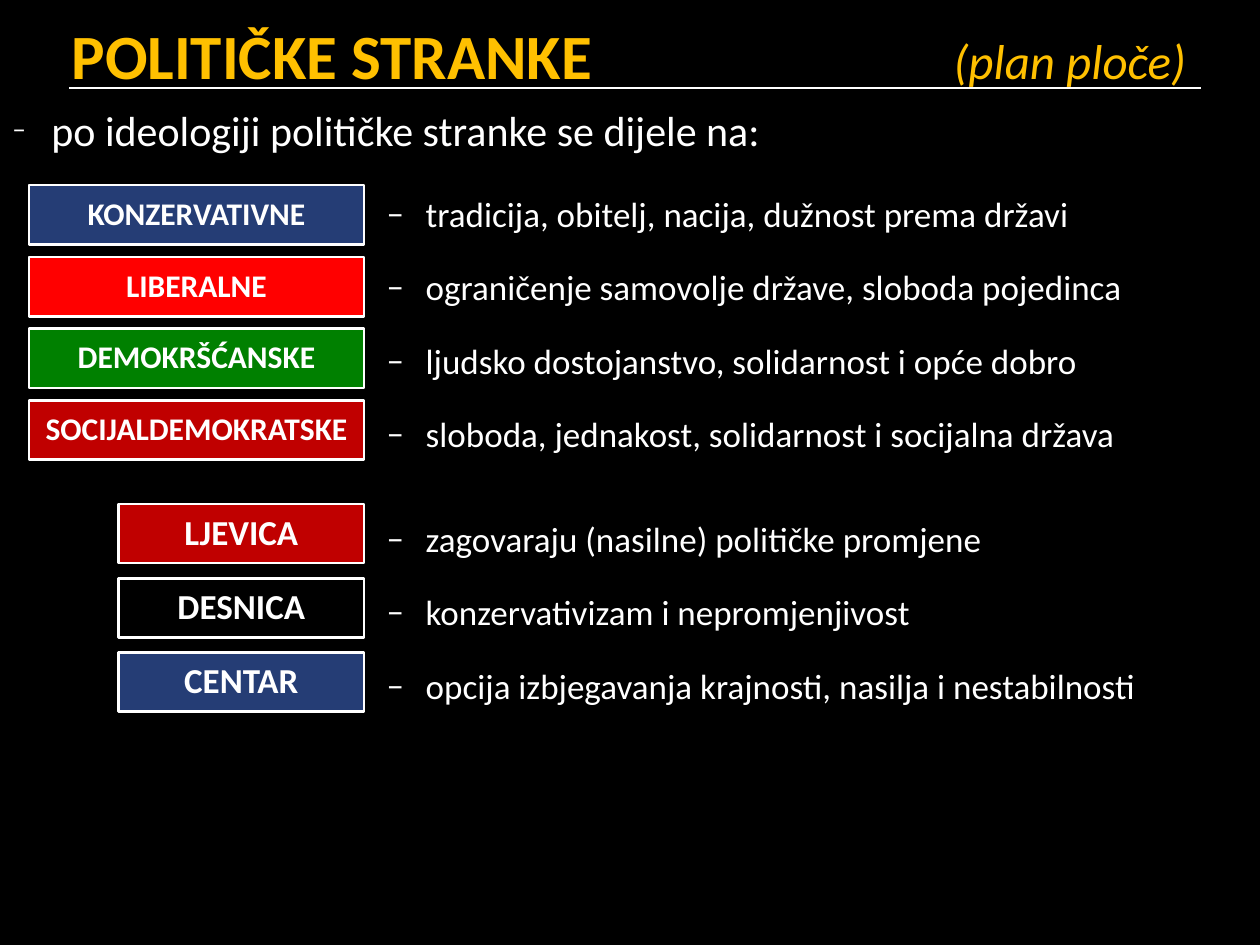
import pptx
import pptx.util
import pptx.dml.color
import pptx.enum.shapes
import pptx.enum.text
import pptx.oxml.ns
from dataclasses import dataclass
from lxml import etree
from pptx.util import Inches


@dataclass(frozen=True)
class Theme:
    """Hold the colours, font and type sizes."""
    font: str = "Calibri"
    black: str = "000000"
    white: str = "FFFFFF"
    gold: str = "FFC000"
    blue: str = "253D75"
    red: str = "FF0000"
    green: str = "008000"
    wine: str = "C00000"
    title: int = 36
    aside: int = 28
    lead: int = 24
    text: int = 20
    label: int = 18


THEME = Theme()


def color(code):
    """Turn a hex code into a colour."""
    return pptx.dml.color.RGBColor.from_string(code)


def style(run, size, code=THEME.white, bold=False, italic=False):
    """Set the look of one run."""
    font = run.font
    font.name, font.size = THEME.font, pptx.util.Pt(size)
    font.bold, font.italic = bold, italic
    font.color.rgb = color(code)


def add_tag(node, name, **attrs):
    """Append one drawing element and return it."""
    return etree.SubElement(node, pptx.oxml.ns.qn(name), attrs)


def add_dash(para, scale):
    """Give a paragraph a hanging dash bullet."""
    props = para._p.get_or_add_pPr()
    props.set("marL", str(Inches(0.31)))
    props.set("indent", str(Inches(-0.31)))
    add_tag(add_tag(props, "a:buClr"), "a:srgbClr", val=THEME.white)
    add_tag(props, "a:buSzPct", val=str(scale * 1000))
    add_tag(props, "a:buFont", typeface=THEME.font)
    add_tag(props, "a:buChar", char="–")


def add_box(slide, left, top, width, height):
    """Add a wrapping text box and return its frame."""
    box = slide.shapes.add_textbox(
        Inches(left), Inches(top), Inches(width), Inches(height))
    box.text_frame.word_wrap = True
    return box.text_frame


def add_title(slide, text, aside):
    """Add the heading with its aside at a tab stop."""
    para = add_box(slide, 0.47, 0.08, 9.53, 0.63).paragraphs[0]
    tabs = add_tag(para._p.get_or_add_pPr(), "a:tabLst")
    add_tag(tabs, "a:tab", pos=str(Inches(7)), algn="l")
    para.text = text + "\t"
    style(para.runs[0], THEME.title, THEME.gold, bold=True)
    run = para.add_run()
    run.text = aside
    style(run, THEME.aside, THEME.gold, italic=True)


def add_rule(slide):
    """Draw the line under the heading."""
    rule = slide.shapes.add_connector(
        pptx.enum.shapes.MSO_CONNECTOR.STRAIGHT,
        Inches(0.55), Inches(0.7), Inches(9.53), Inches(0.7))
    rule.line.color.rgb = color(THEME.white)
    rule.line.width = pptx.util.Pt(1)
    add_tag(rule._element.spPr, "a:effectLst")


def add_list(slide, place, lines, size, scale=100, space=None):
    """Add a text box of dashed lines."""
    frame = add_box(slide, *place)
    frame.text = "\n".join(lines)
    for rank, para in enumerate(frame.paragraphs):
        add_dash(para, scale)
        para.line_spacing = space
        if rank:
            para.space_before = pptx.util.Pt(6)
        style(para.runs[0], size)


def add_label(slide, text, fill, left, top, width, size):
    """Add one framed label."""
    box = slide.shapes.add_shape(
        pptx.enum.shapes.MSO_SHAPE.RECTANGLE,
        Inches(left), Inches(top), Inches(width), Inches(0.47))
    box.shadow.inherit = False
    box.fill.solid()
    box.fill.fore_color.rgb = color(fill)
    box.line.color.rgb = color(THEME.white)
    box.line.width = pptx.util.Pt(1.5)
    frame = box.text_frame
    frame.word_wrap = True
    frame.vertical_anchor = pptx.enum.text.MSO_ANCHOR.MIDDLE
    para = frame.paragraphs[0]
    para.text = text
    para.alignment = pptx.enum.text.PP_ALIGN.CENTER
    para.line_spacing = 0.93
    style(para.runs[0], size, bold=True)


def add_group(slide, rows, left, top, step, size, place):
    """Add a column of labels and the list beside it."""
    for rank, (text, fill, _) in enumerate(rows):
        add_label(slide, text, fill, left, top + rank * step,
                  2.89 - left, size)
    lines = [line for _, _, line in rows]
    add_list(slide, place, lines, THEME.text, space=1.5)


def main():
    """Build and save the slide."""
    deck = pptx.Presentation()
    deck.slide_width, deck.slide_height = Inches(10), Inches(7.5)
    slide = deck.slides.add_slide(deck.slide_layouts[6])
    slide.background.fill.solid()
    slide.background.fill.fore_color.rgb = color(THEME.black)

    add_rule(slide)
    add_list(slide, (0, 0.78, 10, 6.48),
             ["po ideologiji političke stranke se dijele na:"],
             THEME.lead, scale=65)
    add_title(slide, "POLITIČKE STRANKE", "(plan ploče)")

    kinds = [
        ("KONZERVATIVNE", THEME.blue,
         "tradicija, obitelj, nacija, dužnost prema državi"),
        ("LIBERALNE", THEME.red,
         "ograničenje samovolje države, sloboda pojedinca"),
        ("DEMOKRŠĆANSKE", THEME.green,
         "ljudsko dostojanstvo, solidarnost i opće dobro"),
        ("SOCIJALDEMOKRATSKE", THEME.wine,
         "sloboda, jednakost, solidarnost i socijalna država"),
    ]
    sides = [
        ("LJEVICA", THEME.wine, "zagovaraju (nasilne) političke promjene"),
        ("DESNICA", THEME.black, "konzervativizam i nepromjenjivost"),
        ("CENTAR", THEME.blue,
         "opcija izbjegavanja krajnosti, nasilja i nestabilnosti"),
    ]
    add_group(slide, kinds, 0.23, 1.47, 0.57, THEME.label,
              (2.97, 1.31, 6.88, 2.31))
    add_group(slide, sides, 0.94, 4, 0.59, THEME.text,
              (2.97, 3.89, 6.88, 1.78))
    deck.save("out.pptx")


if __name__ == "__main__":
    main()
